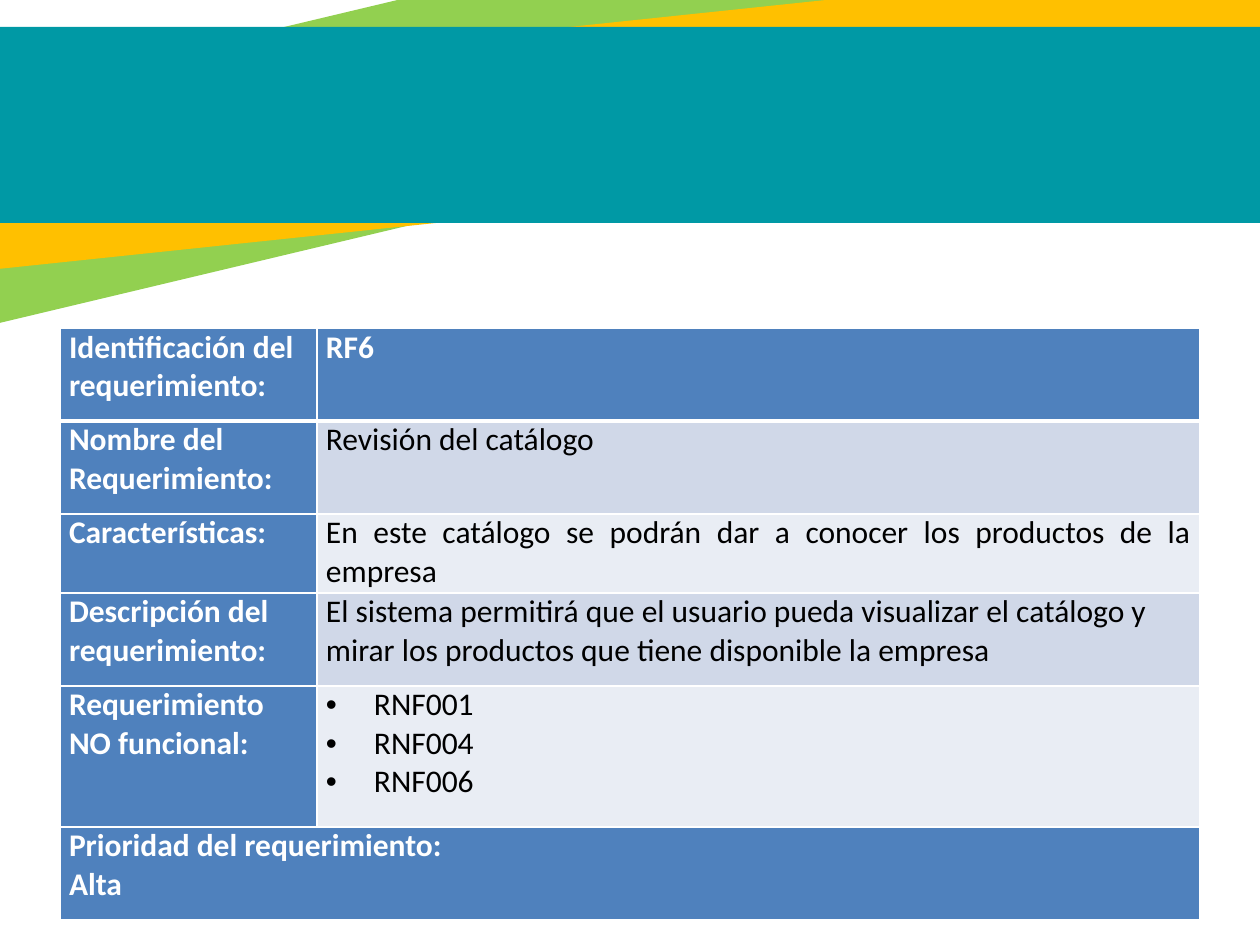
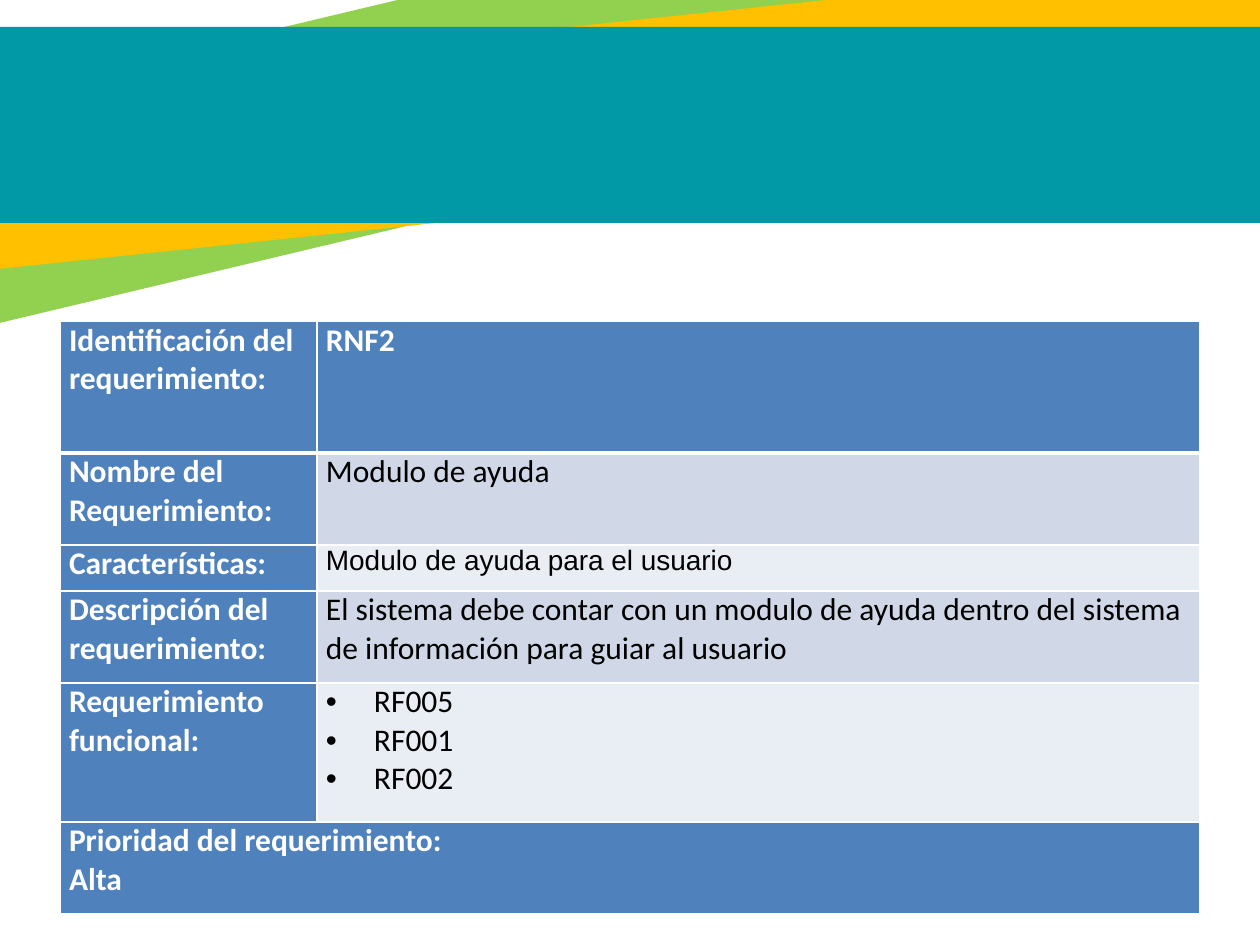
from lxml import etree
from pptx import Presentation
from pptx import util as u
from pptx.dml.color import RGBColor
from pptx.enum import shapes, text
from pptx.oxml.ns import qn

GREEN = RGBColor(0x92, 0xD0, 0x50)
GOLD = RGBColor(0xFF, 0xC0, 0x00)
TEAL = RGBColor(0x00, 0x99, 0xA5)
BLUE = RGBColor(0x4F, 0x81, 0xBD)
MIST = RGBColor(0xD0, 0xD8, 0xE8)
PALE = RGBColor(0xE9, 0xED, 0xF4)
WHITE = RGBColor(0xFF, 0xFF, 0xFF)
BLACK = RGBColor(0x00, 0x00, 0x00)

BANDS = [
    (-316, -23, 1646, 222, 346.6, GREEN),
    (-139, 25, 1465, 181, 354, GOLD),
    (-134, 27, 1465, 196, 0, TEAL),
]
COLS = [257, 883]
LABELS = [
    "Identificación del requerimiento:",
    "Nombre del Requerimiento:",
    "Características:",
    "Descripción del requerimiento:",
]
LAST = "Prioridad del requerimiento:\nAlta"
FORMS = [
    dict(
        top=328,
        rows=[93, 93, 79, 93, 141, 93],
        link="Requerimiento NO funcional:",
        note=("Calibri", 18),
        vals=[
            "RF6",
            "Revisión del catálogo",
            "En este catálogo se podrán dar a conocer los productos de la empresa",
            "El sistema permitirá que el usuario pueda visualizar el catálogo y "
            "mirar los productos que tiene disponible la empresa",
            "RNF001\nRNF004\nRNF006",
        ],
    ),
    dict(
        top=321,
        rows=[132, 92, 46, 92, 139, 92],
        link="Requerimiento funcional:",
        note=("Arial", 16),
        vals=[
            "RNF2",
            "Modulo de ayuda",
            "Modulo de ayuda para el usuario",
            "El sistema debe contar con un modulo de ayuda dentro del sistema "
            "de información para guiar al usuario",
            "RF005\nRF001\nRF002",
        ],
    ),
]


def px(n):
    return u.Emu(round(n * 914400 / 126))


def style(cell, words, fill, ink, bold, face, size, thick):
    cell.margin_left = cell.margin_right = px(9)
    cell.margin_top = cell.margin_bottom = 0
    props = cell._tc.get_or_add_tcPr()
    for side in "LRTB":
        width = 3 if side == "B" and thick else 1
        line = etree.SubElement(props, qn("a:ln" + side), w=str(u.Pt(width)))
        solid = etree.SubElement(line, qn("a:solidFill"))
        etree.SubElement(solid, qn("a:srgbClr"), val=str(WHITE))
    cell.fill.solid()
    cell.fill.fore_color.rgb = fill
    cell.text_frame.text = words
    for para in cell.text_frame.paragraphs:
        for run in para.runs:
            run.font.name = face
            run.font.size = u.Pt(size)
            run.font.bold = bold
            run.font.color.rgb = ink


deck = Presentation()
deck.slide_width = px(1260)
deck.slide_height = px(945)

for form in FORMS:
    slide = deck.slides.add_slide(deck.slide_layouts[6])
    for left, top, wide, high, turn, color in BANDS:
        band = slide.shapes.add_shape(
            shapes.MSO_SHAPE.RECTANGLE, px(left), px(top), px(wide), px(high))
        band.rotation = turn
        band.shadow.inherit = False
        band.fill.solid()
        band.fill.fore_color.rgb = color
        band.line.fill.background()

    rows = form["rows"]
    grid = slide.shapes.add_table(
        len(rows), len(COLS), px(60), px(form["top"]),
        px(sum(COLS)), px(sum(rows))).table
    grid.first_row = grid.horz_banding = False
    for col, wide in zip(grid.columns, COLS):
        col.width = px(wide)
    for row, high in zip(grid.rows, rows):
        row.height = px(high)
    end = len(rows) - 1
    grid.cell(end, 0).merge(grid.cell(end, 1))

    labels = LABELS + [form["link"], LAST]
    for i, label in enumerate(labels):
        style(grid.cell(i, 0), label, BLUE, WHITE, True, "Calibri", 18, i == 0)
    for i, value in enumerate(form["vals"]):
        head = i == 0
        fill = BLUE if head else MIST if i % 2 else PALE
        face, size = form["note"] if i == 2 else ("Calibri", 18)
        style(grid.cell(i, 1), value, fill, WHITE if head else BLACK,
              head, face, size, head)

    grid.cell(2, 1).text_frame.paragraphs[0].alignment = text.PP_ALIGN.JUSTIFY
    for para in grid.cell(4, 1).text_frame.paragraphs:
        props = para._p.get_or_add_pPr()
        props.set("marL", str(px(48)))
        props.set("indent", str(px(-48)))
        etree.SubElement(props, qn("a:buFont"), typeface="Arial")
        etree.SubElement(props, qn("a:buChar"), char="•")

deck.save("out.pptx")
